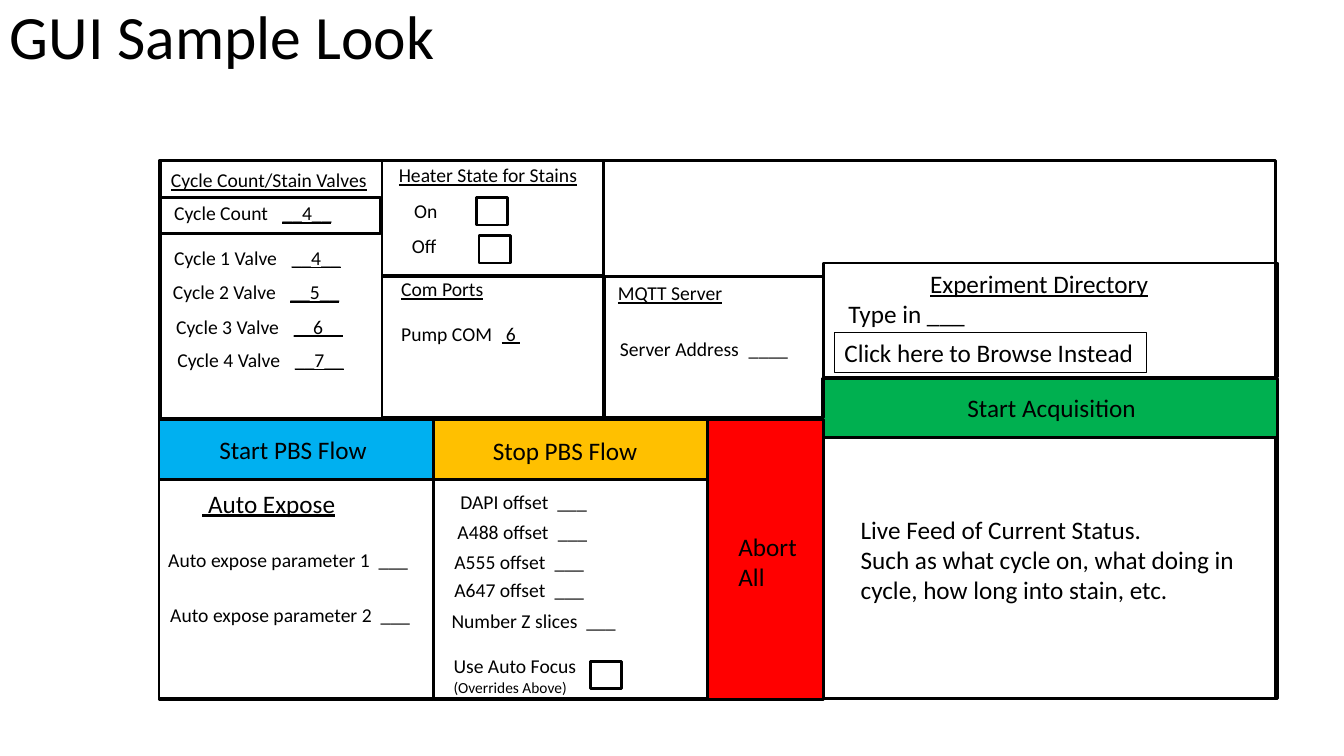
from lxml import etree
from pptx import Presentation
from pptx import util as u
from pptx.dml.color import RGBColor
from pptx.enum import shapes, text
from pptx.oxml.ns import qn

BLACK = "000000"

presentation = Presentation()
presentation.slide_width, presentation.slide_height = u.Cm(33.87), u.Cm(19.05)
slide = presentation.slides.add_slide(presentation.slide_layouts[6])


def add_panel(x, y, width, height, fill=None, line=2):
    shape = slide.shapes.add_shape(
        shapes.MSO_SHAPE.RECTANGLE, u.Cm(x), u.Cm(y), u.Cm(width), u.Cm(height))
    shape.shadow.inherit = False
    if fill:
        shape.fill.solid()
        shape.fill.fore_color.rgb = RGBColor.from_string(fill)
    else:
        shape.fill.background()
    shape.line.color.rgb = RGBColor.from_string(BLACK)
    shape.line.width = u.Pt(line)
    return shape


def add_text(x, y, width, height, words, size, underline=False, shape=None):
    """Write words into a new text box, or into the given shape."""
    shape = shape or slide.shapes.add_textbox(
        u.Cm(x), u.Cm(y), u.Cm(width), u.Cm(height))
    frame = shape.text_frame
    frame.word_wrap = True
    frame.text = words
    for paragraph in frame.paragraphs:
        paragraph.alignment = text.PP_ALIGN.LEFT
        for run in paragraph.runs:
            run.font.name = "Calibri"
            run.font.size = u.Pt(size)
            run.font.underline = underline
            run.font.color.rgb = RGBColor.from_string(BLACK)
    return frame


# Title
title = add_text(0, 0, 29.21, 2.01, "GUI Sample Look", 44)
title.vertical_anchor = text.MSO_ANCHOR.MIDDLE
title.paragraphs[0].line_spacing = 0.9

# Panels and coloured buttons
for panel in [
    (4.01, 4.04, 28.14, 13.56),               # window
    (20.73, 11.02, 11.46, 6.58),              # live feed
    (4.01, 12.09, 6.91, 5.54),                # auto expose
    (10.92, 12.09, 6.91, 5.54),               # offsets
    (20.73, 9.53, 11.46, 1.5, "00B050"),      # start acquisition
    (4.01, 10.57, 6.91, 1.5, "00B0F0"),       # start flow
    (4.04, 4.04, 5.59, 6.5),                  # cycle valves
    (4.01, 4.98, 5.59, 0.91),                 # cycle count
    (10.92, 10.57, 6.91, 1.5, "FFC000"),      # stop flow
    (20.75, 6.63, 11.46, 2.87),               # experiment directory
    (9.63, 4.06, 5.59, 2.87),                 # heater state
    (9.63, 6.96, 5.59, 3.56),                 # com ports
    (17.83, 10.57, 2.92, 7.06, "FF0000"),     # abort
    (15.24, 6.96, 5.51, 3.56),                # server
]:
    add_panel(*panel)

# Check boxes: heater on, heater off, auto focus
for x, y in [(12.01, 4.98), (12.07, 5.94), (14.88, 16.66)]:
    add_panel(x, y, 0.79, 0.69)

# Browse button
browse = add_panel(21.03, 8.38, 7.87, 1.02, line=0.75)
add_text(0, 0, 0, 0, "Click here to Browse Instead", 18, shape=browse)

# Headings and one-line labels
for x, y, width, words, size, underline in [
    (4.85, 12.17, 3.89, " Auto Expose", 18, True),
    (4.06, 4.11, 5.51, "Cycle Count/Stain Valves", 14, True),
    (9.8, 3.99, 5.05, "Heater State for Stains", 14, True),
    (9.86, 6.86, 2.59, "Com Ports", 14, True),
    (15.32, 6.96, 3.18, "MQTT Server", 14, True),
    (23.19, 6.63, 6.07, "Experiment Directory", 18, True),
    (21.13, 7.39, 3.48, "Type in ___", 18, False),
    (24.13, 9.75, 4.8, "Start Acquisition", 18, False),
    (5.28, 10.82, 4.27, "Start PBS Flow", 18, False),
    (12.17, 10.85, 4.19, "Stop PBS Flow", 18, False),
    (10.19, 4.9, 1.12, "On", 14, False),
    (10.13, 5.77, 1.14, "Off", 14, False),
]:
    label = add_text(x, y, width, 1.02 if size == 18 else 0.86, words, size, underline)
    label.margin_right = 0

# Entry fields: a label, then its value at a tab stop
for x, y, width, name, value, tab in [
    (4.14, 4.95, 4.5, "Cycle Count", "__4__", 2.73),
    (4.14, 6.07, 4.88, "Cycle 1 Valve", "__4__", 2.96),
    (4.11, 6.93, 4.72, "Cycle 2 Valve", "__5__", 2.96),
    (4.19, 7.8, 4.72, "Cycle 3 Valve", "__6__", 2.96),
    (4.22, 8.64, 4.72, "Cycle 4 Valve", "__7__", 2.96),
    (9.86, 7.98, 3.63, "Pump COM", " 6 ", 2.53),
    (15.37, 8.36, 4.78, "Server Address", "____", 3.25),
    (3.99, 13.69, 6.63, "Auto expose parameter 1", "___", 5.3),
    (4.04, 15.06, 6.63, "Auto expose parameter 2", "___", 5.3),
    (11.35, 12.22, 3.73, "DAPI offset", "___", 2.45),
    (11.28, 12.98, 3.81, "A488 offset", "___", 2.53),
    (11.2, 13.74, 3.81, "A555 offset", "___", 2.53),
    (11.2, 14.45, 3.81, "A647 offset", "___", 2.53),
    (11.13, 15.21, 4.67, "Number Z slices", "___", 3.4),
]:
    field = add_text(x, y, width, 0.86, name + "\t", 14)
    field.margin_right = 0
    paragraph = field.paragraphs[0]
    tabs = etree.SubElement(paragraph._p.get_or_add_pPr(), qn("a:tabLst"))
    etree.SubElement(tabs, qn("a:tab"), pos=str(u.Cm(tab)), algn="l")
    run = paragraph.add_run()
    run.text = value
    run.font.name = "Calibri"
    run.font.size = u.Pt(14)
    run.font.color.rgb = RGBColor.from_string(BLACK)
    run.font.underline = any(mark in "4567" for mark in value)

# Wrapped texts
add_text(21.44, 12.83, 10.01, 2.57,
         "Live Feed of Current Status.\n"
         "Such as what cycle on, what doing in cycle, how long into stain, etc.", 18)
add_text(18.36, 13.26, 2.74, 1.8, "Abort All", 18)
focus = add_text(11.18, 16.36, 3.84, 1.37, "Use Auto Focus ", 14)
remark = focus.paragraphs[0].add_run()
remark.text = "(Overrides Above)"
remark.font.name = "Calibri"
remark.font.size = u.Pt(11)
remark.font.color.rgb = RGBColor.from_string(BLACK)

presentation.save("out.pptx")
